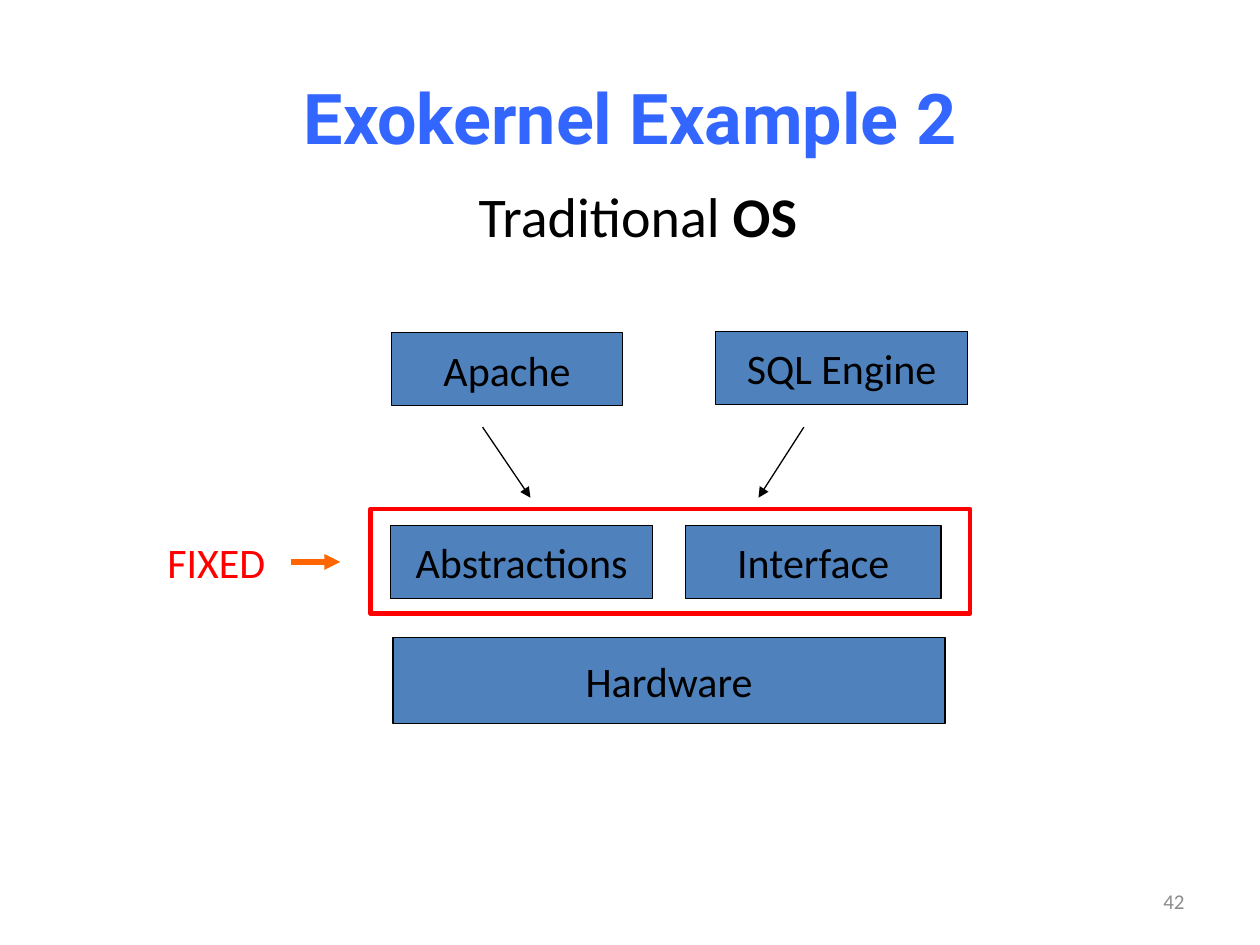
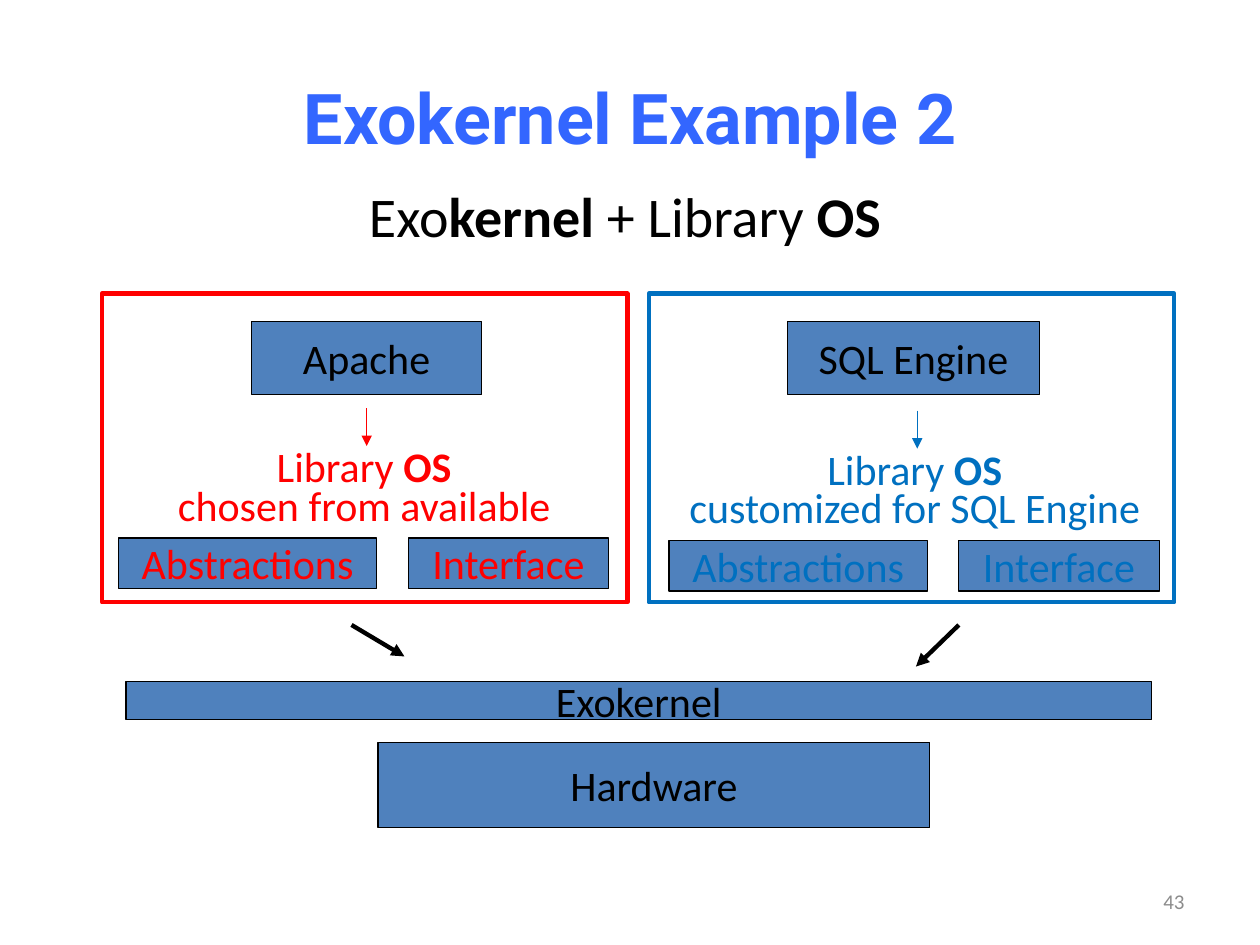
from dataclasses import dataclass

from lxml.etree import SubElement
from pptx import Presentation
from pptx.dml.color import RGBColor
from pptx.enum.shapes import MSO_CONNECTOR as Connector, MSO_SHAPE as Preset
from pptx.enum.text import MSO_ANCHOR as Anchor, MSO_AUTO_SIZE as AutoSize, PP_ALIGN as Align
from pptx.oxml.ns import qn
from pptx.util import Inches, Pt

COLUMNS, ROWS = 100, 75
SLIDE_WIDTH, SLIDE_HEIGHT = Inches(10), Inches(7.5)


@dataclass(frozen=True)
class Theme:
    """Colours, fonts, type sizes and line widths shared by the slides."""
    title: str = "3366FF"
    ink: str = "000000"
    number: str = "8C8C8C"
    block: str = "4F81BD"
    red: str = "FF0000"
    blue: str = "0070C0"
    orange: str = "FF6600"
    heading_font: str = "Roboto"
    body_font: str = "Calibri"
    title_size: int = 40
    subtitle_size: int = 32
    label_size: int = 24
    number_size: int = 12
    hairline: float = 0.75
    frame_line: float = 2.5
    marker_line: float = 3


THEME = Theme()


@dataclass(frozen=True)
class Box:
    """An area in grid columns and rows."""
    x: float
    y: float
    width: float
    height: float

    def inner(self, x, y, width, height):
        """Return an area placed from this box's top left corner."""
        return Box(self.x + x, self.y + y, width, height)

    def point(self, x, y):
        """Return a slide position measured from this box's corner."""
        return across(self.x + x), down(self.y + y)

    def emu(self):
        """Return left, top, width and height as slide lengths."""
        return across(self.x), down(self.y), across(self.width), down(self.height)


def across(columns):
    """Convert grid columns to a slide length."""
    return round(SLIDE_WIDTH * columns / COLUMNS)


def down(rows):
    """Convert grid rows to a slide length."""
    return round(SLIDE_HEIGHT * rows / ROWS)


def rgb(code):
    """Return the colour for a hex code."""
    return RGBColor.from_string(code)


def write(paragraph, runs, size, color, font=THEME.body_font, align=None):
    """Add (wording, bold) runs to a paragraph."""
    paragraph.alignment = align
    for wording, bold in runs:
        run = paragraph.add_run()
        run.text = wording
        run.font.name, run.font.size, run.font.bold = font, Pt(size), bold
        run.font.color.rgb = rgb(color)


def add_text(slide, box, lines, size, color, align=None, wrap=False, spacing=None):
    """Place a growing text box holding one paragraph per line."""
    frame = slide.shapes.add_textbox(*box.emu()).text_frame
    frame.word_wrap, frame.auto_size = wrap, AutoSize.SHAPE_TO_FIT_TEXT
    for index, runs in enumerate(lines):
        paragraph = frame.add_paragraph() if index else frame.paragraphs[0]
        write(paragraph, runs, size, color, align=align)
        if spacing:
            paragraph.line_spacing = Pt(spacing)


def add_rectangle(slide, box, line_color, line_width):
    """Place an unfilled rectangle and return it."""
    rectangle = slide.shapes.add_shape(Preset.RECTANGLE, *box.emu())
    rectangle.shadow.inherit = False
    rectangle.fill.background()
    rectangle.line.color.rgb = rgb(line_color)
    rectangle.line.width = Pt(line_width)
    return rectangle


def add_block(slide, box, label, color=THEME.ink):
    """Place a filled system block with a centred label."""
    block = add_rectangle(slide, box, THEME.ink, THEME.hairline)
    block.fill.solid()
    block.fill.fore_color.rgb = rgb(THEME.block)
    frame = block.text_frame
    frame.word_wrap, frame.vertical_anchor = False, Anchor.MIDDLE
    write(frame.paragraphs[0], [(label, False)], THEME.label_size, color, align=Align.CENTER)


def add_arrow(slide, start, end, color=THEME.ink, width=THEME.hairline):
    """Draw a straight arrow between two slide positions."""
    arrow = slide.shapes.add_connector(Connector.STRAIGHT, *start, *end)
    arrow.line.color.rgb = rgb(color)
    arrow.line.width = Pt(width)
    properties = arrow.element.spPr
    SubElement(properties.find(qn("a:ln")), qn("a:tailEnd"), type="triangle")
    SubElement(properties, qn("a:effectLst"))


def start_slide(deck, number, subtitle, subtitle_box):
    """Add a slide with its title, subtitle and page number."""
    slide = deck.slides.add_slide(deck.slide_layouts[5])
    title = slide.shapes.title
    title.left, title.top, title.width, title.height = Box(5, 3, 90, 12.5).emu()
    title.text_frame.vertical_anchor = Anchor.MIDDLE
    write(title.text_frame.paragraphs[0], [("Exokernel Example 2", True)],
          THEME.title_size, THEME.title, THEME.heading_font, Align.CENTER)
    footer = slide.shapes.add_textbox(*Box(71.7, 69.5, 23.3, 4).emu()).text_frame
    footer.word_wrap, footer.vertical_anchor = True, Anchor.MIDDLE
    write(footer.paragraphs[0], [(str(number), False)],
          THEME.number_size, THEME.number, align=Align.RIGHT)
    add_text(slide, subtitle_box, [subtitle], THEME.subtitle_size, THEME.ink)
    return slide


def add_traditional_stack(slide, area):
    """Draw applications over a fixed kernel layer and the hardware."""
    add_block(slide, area.inner(18.8, 0.1, 18.3, 5.8), "Apache")
    add_block(slide, area.inner(44.5, 0, 20, 5.8), "SQL Engine")
    for start, end in ((26, 29.8), (51.5, 47.9)):
        add_arrow(slide, area.point(start, 7.6), area.point(end, 13.2))

    kernel = area.inner(17.1, 14.1, 47.6, 8.3)
    add_rectangle(slide, kernel, THEME.red, THEME.frame_line)
    add_block(slide, kernel.inner(1.6, 1.3, 20.8, 5.8), "Abstractions")
    add_block(slide, kernel.inner(25, 1.3, 20.3, 5.8), "Interface")
    add_block(slide, area.inner(18.9, 24.3, 43.8, 6.8), "Hardware")

    add_text(slide, area.inner(0, 15.8, 11, 5), [[("FIXED", False)]],
             THEME.label_size, THEME.red)
    add_arrow(slide, area.point(10.8, 18.3), area.point(14.7, 18.3),
              THEME.orange, THEME.marker_line)


def add_library_panel(slide, panel, color, application, app_width, origin, caption, caption_width):
    """Draw one application with its own library OS inside a frame."""
    add_rectangle(slide, panel, color, THEME.frame_line)
    add_block(slide, panel.inner(21 - app_width / 2, 2.2, app_width, 5.8), application)
    library = panel.inner(*origin, 39, 14.3)
    add_arrow(slide, library.point(19.7, 0), library.point(19.7, 3), color)
    add_text(slide, library.inner(19.5 - caption_width / 2, 3.05, caption_width, 7.2),
             [[("Library ", False), ("OS", True)], [(caption, False)]],
             THEME.label_size, color, Align.CENTER, wrap=True, spacing=22)
    add_block(slide, library.inner(0, 10.3, 20.5, 4), "Abstractions", color)
    add_block(slide, library.inner(23, 10.3, 15.9, 4), "Interface", color)


def add_exokernel_stack(slide, area):
    """Draw two library OS panels over the exokernel and the hardware."""
    libraries = (
        (0, THEME.red, "Apache", 18.3, (1.3, 9.1), "chosen from available", 38.8),
        (43.4, THEME.blue, "SQL Engine", 20, (1.6, 9.3), "customized for SQL Engine", 41.4),
    )
    for offset, *library in libraries:
        add_library_panel(slide, area.inner(offset, 0, 41.7, 24.5), *library)
    for start, end in (((19.8, 26.3), (24, 28.8)), ((68, 26.3), (64.6, 29.6))):
        add_arrow(slide, area.point(*start), area.point(*end), width=THEME.frame_line)
    add_block(slide, area.inner(1.9, 30.8, 81.4, 3), "Exokernel")
    add_block(slide, area.inner(21.9, 35.6, 43.8, 6.8), "Hardware")


def main():
    """Build and save the deck."""
    deck = Presentation()
    deck.slide_width, deck.slide_height = SLIDE_WIDTH, SLIDE_HEIGHT

    traditional = start_slide(deck, 42, [("Traditional ", False), ("OS", True)],
                              Box(37, 13.9, 29.1, 6.4))
    add_traditional_stack(traditional, Box(12.3, 26.3, 64.7, 31.1))

    exokernel = start_slide(
        deck, 43,
        [("Exo", False), ("kernel", True), (" + Library ", False), ("OS", True)],
        Box(28.3, 13.9, 48.1, 6.4))
    add_exokernel_stack(exokernel, Box(8.1, 23.3, 85.1, 42.4))

    deck.save("out.pptx")


if __name__ == "__main__":
    main()
